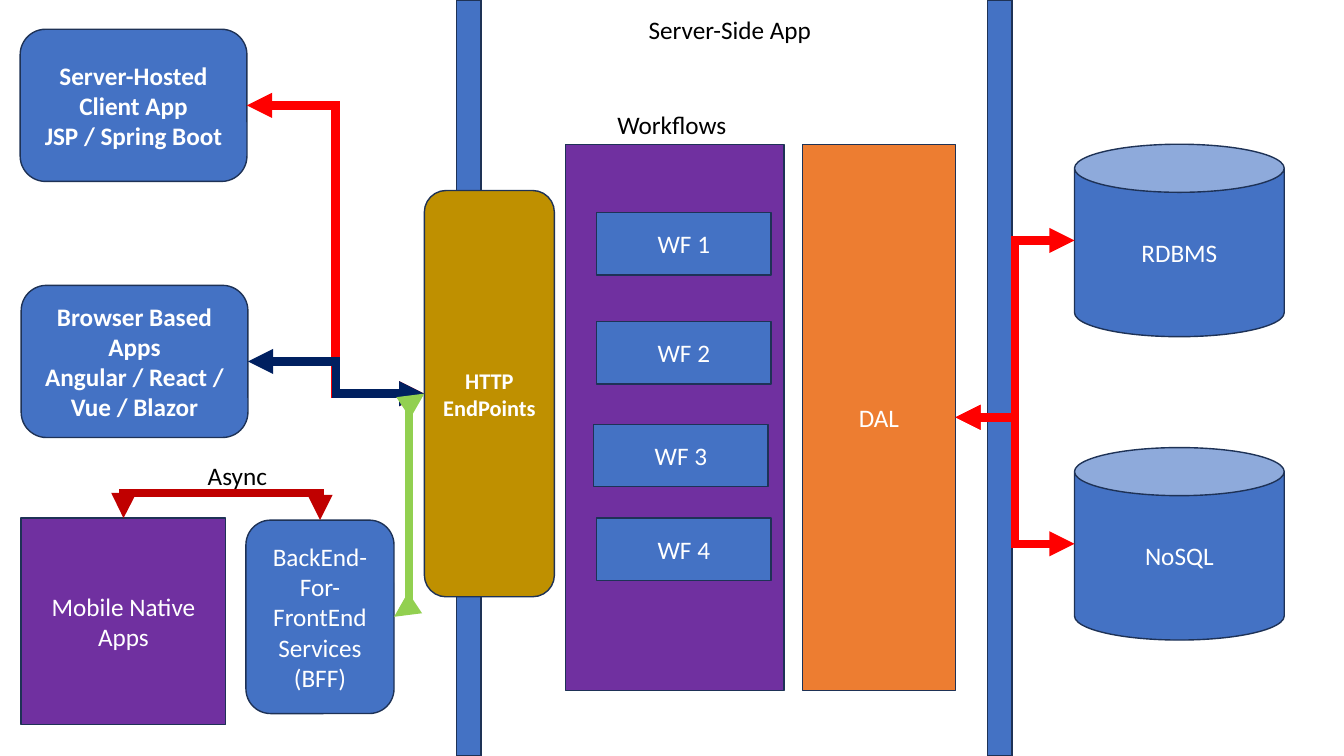
from lxml.etree import SubElement
from pptx import Presentation
from pptx.dml.color import RGBColor
from pptx.enum.shapes import MSO_CONNECTOR, MSO_SHAPE
from pptx.enum.text import MSO_ANCHOR, MSO_AUTO_SIZE, PP_ALIGN
from pptx.oxml.ns import qn
from pptx.util import Pt

BLUE, PURPLE, ORANGE, GOLD = "4472C4", "7030A0", "ED7D31", "BF9000"
OUTLINE, WHITE, BLACK = "1E3256", "FFFFFF", "000000"
RED, NAVY, GREEN, CRIMSON = "FF0000", "002060", "92D050", "C00000"
RECT, ROUND, CAN = MSO_SHAPE.RECTANGLE, MSO_SHAPE.ROUNDED_RECTANGLE, MSO_SHAPE.CAN
TOP, LEFT, RIGHT = 0, 1, 3

HEADING = ("Server-Side App", (351.4, 6.5, 339.8, 28.8))
LABELS = [
    ("Workflows", (409, 74.2, 141.8, 28.8)),
    ("Async", (94.3, 325.4, 150.5, 28.8)),
]
BOUNDARIES = [326.2, 705.6]
WORKFLOWS = [("WF 1", 426.2, 151.9), ("WF 2", 426.2, 229.7),
             ("WF 3", 424.1, 303.1), ("WF 4", 426.2, 370.1)]

COMPONENTS = {
    "rdbms": (CAN, (767.5, 103, 149.8, 137.5), BLUE, ["RDBMS"], {}),
    "nosql": (CAN, (767.5, 319.7, 149.8, 137.5), BLUE, ["NoSQL"], {}),
    **{f"boundary {x}": (RECT, (x, 0, 17.3, 540), BLUE, [], {}) for x in BOUNDARIES},
    "dal": (RECT, (573.1, 103, 109.4, 390.2), ORANGE, ["DAL"], {}),
    "workflows": (RECT, (403.9, 103, 156.2, 390.2), PURPLE, [], {}),
    **{name: (RECT, (x, y, 124.6, 44.6), BLUE, [name], {}) for name, x, y in WORKFLOWS},
    "endpoints": (ROUND, (303.1, 136.1, 92.9, 290.2), GOLD,
                  ["HTTP", "EndPoints"], {"bold": True, "size": Pt(16)}),
    "hosted": (ROUND, (14.4, 20.9, 162, 108.7), BLUE,
               ["Server-Hosted Client App", "JSP / Spring Boot"], {"bold": True}),
    "browser": (ROUND, (15.1, 203.8, 162, 108.7), BLUE,
                ["Browser Based Apps", "Angular / React / Vue / Blazor"], {"bold": True}),
    "mobile": (RECT, (15.1, 370.1, 146.2, 147.6), PURPLE, ["Mobile Native Apps"], {}),
    "bff": (ROUND, (175.7, 371.5, 105.8, 138.2), BLUE,
            ["BackEnd-For-FrontEnd Services (BFF)"], {}),
}
FLOWS = [
    ("dal", RIGHT, "rdbms", LEFT, RED),
    ("dal", RIGHT, "nosql", LEFT, RED),
    ("hosted", RIGHT, "endpoints", LEFT, RED),
    ("browser", RIGHT, "endpoints", LEFT, NAVY),
    ("bff", RIGHT, "endpoints", LEFT, GREEN),
    ("mobile", TOP, "bff", TOP, CRIMSON),
]
ASYNC_RISE = Pt(18)
FONT = {"name": "Calibri", "size": Pt(18), "bold": False}
FRAME = {"word_wrap": True, "auto_size": MSO_AUTO_SIZE.NONE}


def color(value):
    return RGBColor.from_string(value)


def apply(target, values):
    for name, value in values.items():
        setattr(target, name, value)


def points(box):
    return [Pt(length) for length in box]


def write(frame, lines, ink, anchor, font):
    apply(frame, {**FRAME, "vertical_anchor": anchor})
    frame.text = "\n".join(lines)
    for paragraph in frame.paragraphs:
        paragraph.alignment = PP_ALIGN.CENTER
        apply(paragraph.font, {**FONT, **font})
        paragraph.font.color.rgb = color(ink)


def add_component(slide, kind, box, fill, lines, font):
    component = slide.shapes.add_shape(kind, *points(box))
    component.shadow.inherit = False
    component.fill.solid()
    component.fill.fore_color.rgb = color(fill)
    component.line.color.rgb = color(OUTLINE)
    component.line.width = Pt(1)
    if lines:
        write(component.text_frame, lines, WHITE, MSO_ANCHOR.MIDDLE, font)
    return component


def side_middle(component, side):
    across = {TOP: 0.5, LEFT: 0, RIGHT: 1}[side]
    down = 0 if side == TOP else 0.5
    return (int(component.left + component.width * across),
            int(component.top + component.height * down))


def arch_over(flow):
    center_x = flow.left + flow.width // 2
    center_y = flow.top + flow.height // 2
    span, drop = flow.width, flow.height
    apply(flow, {"left": center_x - drop // 2, "top": center_y - span // 2,
                 "width": drop, "height": span})
    properties = flow._element.spPr
    transform = properties.find(qn("a:xfrm"))
    transform.set("rot", "16200000")
    transform.set("flipH", "1")
    guides = properties.find(qn("a:prstGeom")).find(qn("a:avLst"))
    bend = -round(ASYNC_RISE / drop * 100000)
    SubElement(guides, qn("a:gd"), name="adj1", fmla=f"val {bend}")


def add_flow(slide, source, source_side, target, target_side, ink):
    flow = slide.shapes.add_connector(
        MSO_CONNECTOR.ELBOW, *side_middle(source, source_side),
        *side_middle(target, target_side))
    flow.begin_connect(source, source_side)
    if target.auto_shape_type != CAN:
        flow.end_connect(target, target_side)
    flow.line.color.rgb = color(ink)
    flow.line.width = Pt(6)
    stroke = flow.line._get_or_add_ln()
    SubElement(stroke, qn("a:miter"), lim="800000")
    for end in ("a:headEnd", "a:tailEnd"):
        SubElement(stroke, qn(end), type="triangle")
    SubElement(flow._element.spPr, qn("a:effectLst"))
    if source_side == TOP:
        arch_over(flow)


def main():
    deck = Presentation()
    apply(deck, {"slide_width": Pt(960), "slide_height": Pt(540)})
    slide = deck.slides.add_slide(deck.slide_layouts[5])

    heading, heading_box = HEADING
    title = slide.shapes.title
    apply(title, dict(zip(("left", "top", "width", "height"), points(heading_box))))
    write(title.text_frame, [heading], BLACK, MSO_ANCHOR.TOP, {})

    components = {key: add_component(slide, *details) for key, details in COMPONENTS.items()}
    for source, source_side, target, target_side, ink in FLOWS:
        add_flow(slide, components[source], source_side, components[target], target_side, ink)
    for label, box in LABELS:
        caption = slide.shapes.add_textbox(*points(box))
        write(caption.text_frame, [label], BLACK, MSO_ANCHOR.TOP, {})

    deck.save("out.pptx")


if __name__ == "__main__":
    main()
